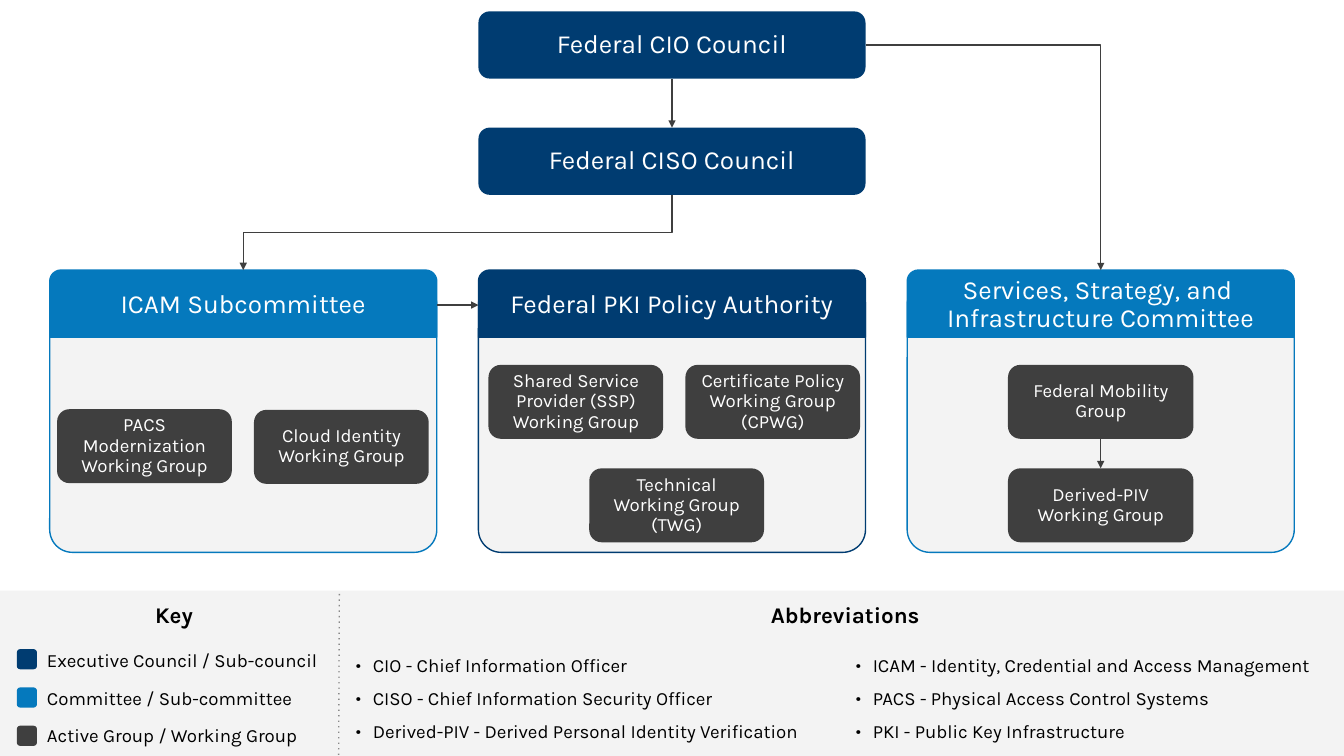
from lxml import etree
from pptx import Presentation
from pptx.dml.color import RGBColor
from pptx.enum.shapes import MSO_CONNECTOR, MSO_SHAPE
from pptx.enum.text import MSO_ANCHOR, PP_ALIGN
from pptx.oxml.ns import qn
from pptx.util import Pt

PX = 4572  # 200 px to the inch
FONT = "Karla"
COLORS = {"council": "003C71", "committee": "0579BD", "group": "3F3F3F",
          "pale": "F3F3F3", "white": "FFFFFF", "black": "000000", "dots": "888888"}

# Content
COUNCILS = [("Federal CIO Council", 17), ("Federal CISO Council", 190)]
# Column: heading, colour, groups as (text, left, top, width)
COLUMNS = [
    ("ICAM Subcommittee", "committee", [
        ("PACS Modernization Working Group", 85, 609, 260),
        ("Cloud Identity Working Group", 378, 610, 260)]),
    ("Federal PKI Policy Authority", "council", [
        ("Shared Service Provider (SSP) Working Group", 727, 543, 260),
        ("Certificate Policy Working Group (CPWG)", 1020, 543, 260),
        ("Technical Working Group (TWG)", 877, 697, 260)]),
    ("Services, Strategy, and \nInfrastructure Committee", "committee", [
        ("Federal Mobility Group", 1500, 543, 276),
        ("Derived-PIV Working Group", 1500, 697, 276)]),
]
KEY = [("Executive Council / Sub-council", "council"),
       ("Committee / Sub-committee", "committee"),
       ("Active Group / Working Group", "group")]
ABBREVIATIONS = [
    (510, ["CIO - Chief Information Officer",
           "CISO - Chief Information Security Officer",
           "Derived-PIV - Derived Personal Identity Verification"]),
    (1254, ["ICAM - Identity, Credential and Access Management",
            "PACS - Physical Access Control Systems",
            "PKI - Public Key Infrastructure"]),
]

# Layout
SLIDE_W, SLIDE_H = 2000, 1125
COL_X, COL_STEP, COL_W = 74, 638, 576
HEAD_Y, HEAD_H = 402, 100
PANEL_Y, PANEL_H = 420, 402
GROUP_H = 110

prs = Presentation()
prs.slide_width, prs.slide_height = SLIDE_W * PX, SLIDE_H * PX
s = prs.slides.add_slide(prs.slide_layouts[6])


def rgb(name):
    return RGBColor.from_string(COLORS[name])


def add_run(p, text, size, color, bold=False):
    for i, part in enumerate(text.split("\n")):
        if i:
            p.add_line_break()
        r = p.add_run()
        r.text = part
        r.font.name, r.font.size, r.font.bold = FONT, Pt(size), bold
        r.font.color.rgb = rgb(color)


def set_insets(tf, left, right):
    tf.word_wrap = True
    tf.margin_left, tf.margin_right = left * PX, right * PX
    tf.margin_top = tf.margin_bottom = 10 * PX


def add_box(kind, x, y, w, h, fill, line=None, adj=None, text=None, size=10):
    sp = s.shapes.add_shape(kind, x * PX, y * PX, w * PX, h * PX)
    sp.shadow.inherit = False
    sp.fill.solid()
    sp.fill.fore_color.rgb = rgb(fill)
    if line:
        sp.line.color.rgb = rgb(line)
        sp.line.width = Pt(0.75)
    else:
        sp.line.fill.background()
    if adj is not None:
        sp.adjustments[0] = adj
    if text:
        tf = sp.text_frame
        set_insets(tf, 10, 10)
        tf.vertical_anchor = MSO_ANCHOR.MIDDLE
        p = tf.paragraphs[0]
        p.alignment, p.line_spacing = PP_ALIGN.CENTER, 0.9
        add_run(p, text, size, "white")
    return sp


def add_text(x, y, w, h, left=20):
    tf = s.shapes.add_textbox(x * PX, y * PX, w * PX, h * PX).text_frame
    set_insets(tf, left, 20)
    return tf


def add_line(x1, y1, x2, y2, color="group", kind=MSO_CONNECTOR.STRAIGHT, dash=None):
    c = s.shapes.add_connector(kind, x1 * PX, y1 * PX, x2 * PX, y2 * PX)
    c.line.color.rgb = rgb(color)
    c.line.width = Pt(0.75)
    ln = c._element.spPr.find(qn("a:ln"))
    if dash:
        etree.SubElement(ln, qn("a:prstDash"), val=dash)
    else:
        etree.SubElement(ln, qn("a:tailEnd"), type="triangle", w="sm", len="sm")
    etree.SubElement(c._element.spPr, qn("a:effectLst"))
    return c


def join(upper, lower):
    x = (upper.left + upper.width // 2) // PX
    c = add_line(x, (upper.top + upper.height) // PX, x, lower.top // PX)
    c.begin_connect(upper, 2)
    c.end_connect(lower, 0)


# Bottom strip
add_box(MSO_SHAPE.RECTANGLE, 0, 879, 2004, 250, "pale")

# Councils
cio, ciso = [add_box(MSO_SHAPE.ROUNDED_RECTANGLE, COL_X + COL_STEP, y, COL_W, HEAD_H,
                     "council", text=text, size=14) for text, y in COUNCILS]
join(cio, ciso)

# Columns with their groups
groups = {}
for i, (heading, color, members) in enumerate(COLUMNS):
    x = COL_X + i * COL_STEP
    add_box(MSO_SHAPE.ROUNDED_RECTANGLE, x, PANEL_Y, COL_W, PANEL_H, "pale", color, 0.084)
    add_box(MSO_SHAPE.ROUND_2_SAME_RECTANGLE, x, HEAD_Y, COL_W, HEAD_H, color, color,
            text=heading, size=14)
    for text, gx, gy, gw in members:
        groups[text] = add_box(MSO_SHAPE.ROUNDED_RECTANGLE, gx, gy, gw, GROUP_H,
                               "group", text=text)
join(groups["Federal Mobility Group"], groups["Derived-PIV Working Group"])
add_line(COL_X + COL_W, 454, COL_X + COL_STEP, 454)

# CISO council down to the left column: an elbow turned to leave vertically
left_mid = COL_X + COL_W // 2
center_mid, right_mid = left_mid + COL_STEP, left_mid + 2 * COL_STEP
ciso_bottom = COUNCILS[1][1] + HEAD_H
drop = HEAD_Y - ciso_bottom
elbow = add_line(center_mid, ciso_bottom, left_mid, HEAD_Y, kind=MSO_CONNECTOR.ELBOW)
xfrm = elbow._element.spPr.find(qn("a:xfrm"))
xfrm.attrib.pop("flipH", None)
xfrm.set("rot", "5400000")
elbow.width, elbow.height = drop * PX, COL_STEP * PX
elbow.left = (left_mid + center_mid - drop) * PX // 2
elbow.top = (ciso_bottom + HEAD_Y - COL_STEP) * PX // 2

# CIO council across and down to the right column: a single bend
bend = add_line(COL_X + COL_STEP + COL_W, COUNCILS[0][1] + HEAD_H // 2, right_mid, HEAD_Y,
                kind=MSO_CONNECTOR.ELBOW)
bend._element.spPr.find(qn("a:prstGeom")).set("prst", "bentConnector2")

# Strip headings and divider
add_line(505, 884, 504, 1130, "dots", dash="dot")
for text, x, y, w, h in [("Key", 26, 885, 466, 50), ("Abbreviations", 534, 885, 1448, 54)]:
    p = add_text(x, y, w, h).paragraphs[0]
    p.alignment = PP_ALIGN.CENTER
    add_run(p, text, 12, "black", bold=True)

# Key
tf = add_text(70, 956, 440, 158, left=0)
for i, (text, color) in enumerate(KEY):
    add_box(MSO_SHAPE.ROUNDED_RECTANGLE, 25, 966 + 57 * i, 30, 30, color)
    p = tf.add_paragraph() if i else tf.paragraphs[0]
    p.space_before = Pt(8 if i else 0)
    add_run(p, text, 10, "black")

# Abbreviations
for x, items in ABBREVIATIONS:
    tf = add_text(x, 958, 742, 138)
    for i, text in enumerate(items):
        p = tf.add_paragraph() if i else tf.paragraphs[0]
        p.line_spacing = 1.15
        p.space_before = Pt(4 if i else 0)
        pPr = p._p.get_or_add_pPr()
        pPr.set("marL", str(25 * PX))
        pPr.set("indent", str(-25 * PX))
        bullet_color = etree.SubElement(pPr, qn("a:buClr"))
        etree.SubElement(bullet_color, qn("a:srgbClr"), val=COLORS["black"])
        etree.SubElement(pPr, qn("a:buFont"), typeface=FONT)
        etree.SubElement(pPr, qn("a:buChar"), char="•")
        add_run(p, text, 10, "black")

prs.save("out.pptx")
